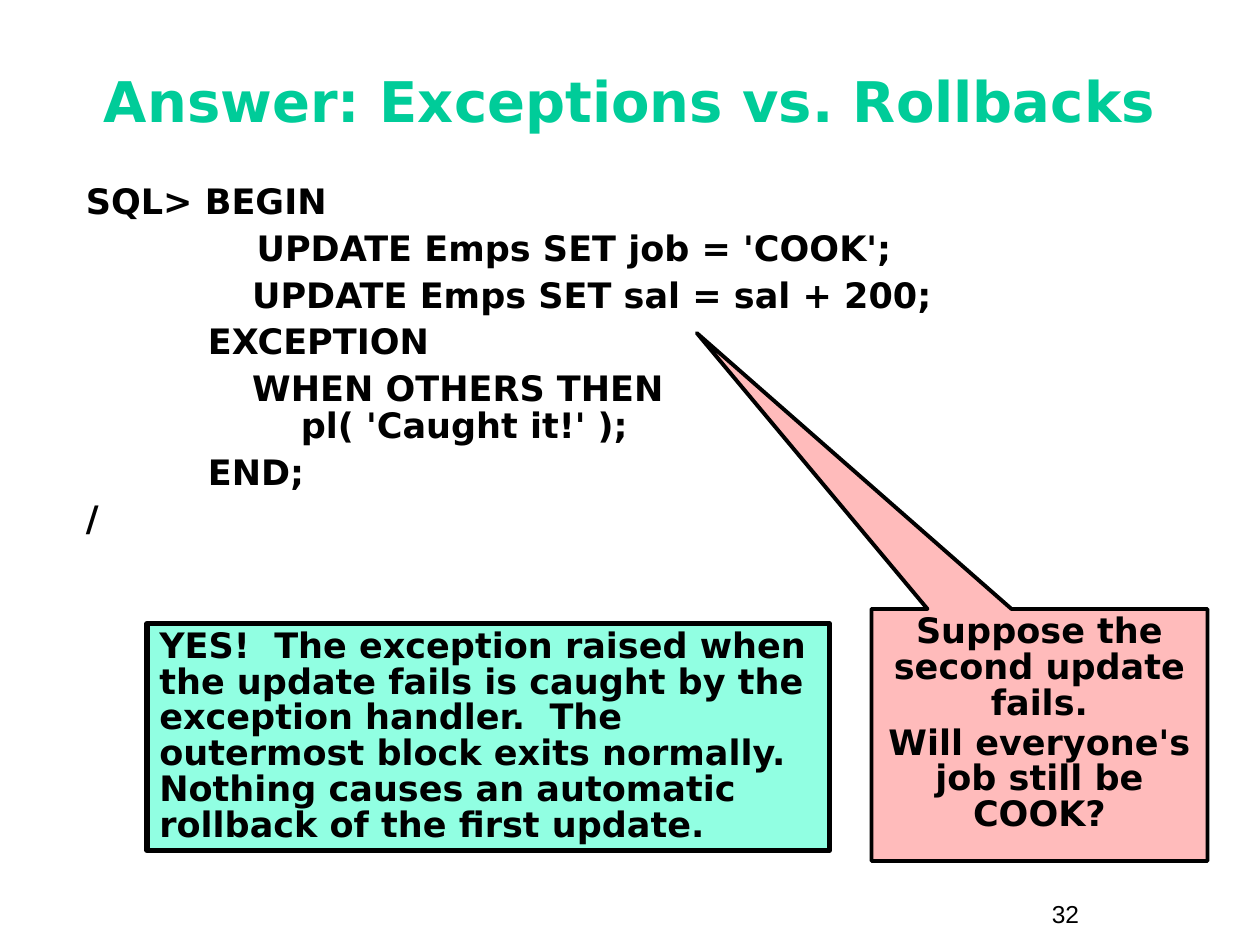
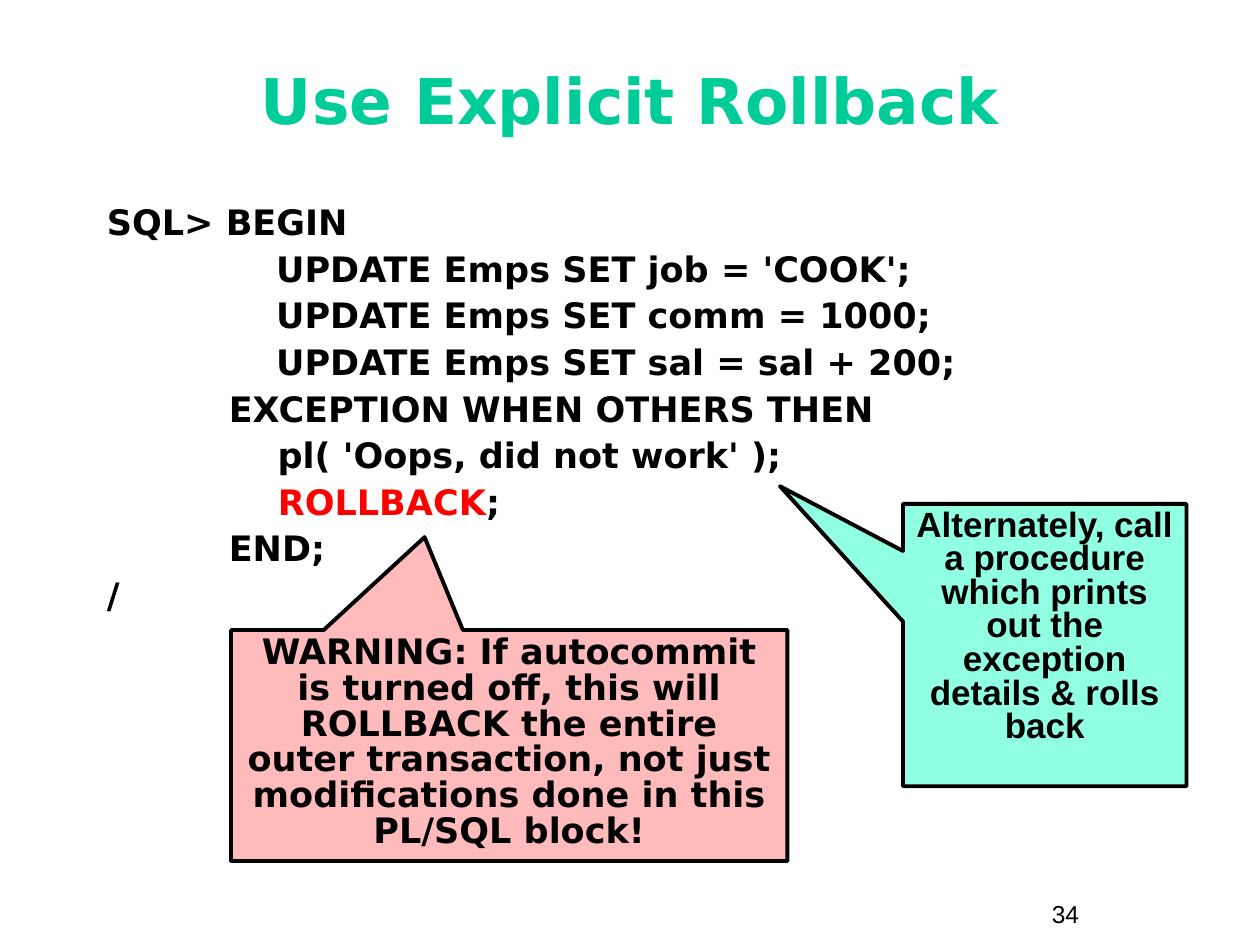
"""Builds two slides on PL/SQL exceptions and rollbacks."""
import pptx
import pptx.dml.color
import pptx.enum.shapes
import pptx.enum.text
import pptx.util

Pt = pptx.util.Pt
SHAPE = pptx.enum.shapes.MSO_SHAPE
ALIGN = pptx.enum.text.PP_ALIGN
ANCHOR = pptx.enum.text.MSO_ANCHOR

BLACK, GREEN, RED = "000000", "00CC99", "FF0000"
PINK, MINT = "FFBBBB", "91FFE2"
SANS, ARIAL = "DejaVu Sans", "Arial"
KEYWORD = "ROLLBACK"
TITLE_BOX = (24, 24, 672, 66)
NUMBER_BOX = (594, 510, 66, 24.5)

SLIDES = [
    {
        "title": "Answer: Exceptions vs. Rollbacks", "title_size": 32, "number": "32",
        "code_box": (42, 102, 636, 378), "indent": 81,
        "code": [
            ["SQL> BEGIN"],
            ["              UPDATE Emps SET job = 'COOK';"],
            ["\t  UPDATE Emps SET sal = sal + 200;"],
            ["          EXCEPTION"],
            ["\t  WHEN OTHERS THEN\v      pl( 'Caught it!' );"],
            ["          END;"],
            ["/"],
        ],
        "notes": [
            {"box": (498, 348, 192, 144), "fill": PINK, "tip": (-1.02, -1.595), "after": 2.5,
             "text": ["Suppose the second update fails.",
                      "Will everyone's job still be COOK?"]},
            {"box": (84, 356.4, 390, 129.6), "fill": MINT, "line": 3, "align": ALIGN.LEFT,
             "text": ["YES!  The exception raised when the update fails is caught by the "
                      "exception handler.  The outermost block exits normally.  Nothing "
                      "causes an automatic rollback of the first update."]},
        ],
    },
    {
        "title": "Use Explicit Rollback", "title_size": 36, "number": "34",
        "code_box": (54, 114, 612, 294), "indent": 27,
        "code": [
            ["SQL> BEGIN"],
            ["\t          UPDATE Emps SET job = 'COOK';"],
            ["\t          UPDATE Emps SET comm = 1000;"],
            ["\t          UPDATE Emps SET sal = sal + 200;"],
            ["          EXCEPTION WHEN OTHERS THEN"],
            ["              pl( 'Oops, did not work' );"],
            ["              ", KEYWORD, ";"],
            ["          END;"],
            ["/"],
        ],
        "notes": [
            {"box": (132, 360, 318, 132), "fill": PINK, "tip": (-0.152, -0.902),
             "text": ["WARNING: If autocommit is turned off, this will ROLLBACK the entire "
                      "outer transaction, not just modifications done in this PL/SQL block!"]},
            {"box": (516, 288, 162, 161.3), "fill": MINT, "tip": (-0.934, -0.563),
             "font": ARIAL, "spacing": 0.8,
             "text": ["Alternately, call a procedure which prints out the exception "
                      "details & rolls back"]},
        ],
    },
]


def rgb(color):
    return pptx.dml.color.RGBColor.from_string(color)


def write(sp, lines, size=20, font=SANS, color=BLACK, bold=True, align=ALIGN.LEFT,
          anchor=ANCHOR.TOP, spacing=1.0, before=0, indent=0):
    tf = sp.text_frame
    tf.word_wrap = True
    tf.vertical_anchor = anchor
    for i, pieces in enumerate(lines):
        p = tf.add_paragraph() if i else tf.paragraphs[0]
        p.text = pieces[0]
        for piece in pieces[1:]:
            p.add_run().text = piece
        p.alignment = align
        p.line_spacing = spacing
        p.space_before = Pt(before if i else 0)
        if indent:
            pPr = p._p.get_or_add_pPr()
            pPr.set("marL", str(int(Pt(indent))))
            pPr.set("indent", str(int(Pt(-indent))))
        for r in p.runs:
            r.font.name = font
            r.font.size = Pt(size)
            r.font.bold = bold
            r.font.color.rgb = rgb(RED if r.text == KEYWORD else color)


def add_text(s, box, lines, **style):
    write(s.shapes.add_textbox(*map(Pt, box)), lines, **style)


def add_note(s, note):
    tip = note.get("tip")
    kind = SHAPE.RECTANGULAR_CALLOUT if tip else SHAPE.RECTANGLE
    sp = s.shapes.add_shape(kind, *map(Pt, note["box"]))
    for i, value in enumerate(tip or ()):
        sp.adjustments[i] = value
    sp.shadow.inherit = False
    sp.fill.solid()
    sp.fill.fore_color.rgb = rgb(note["fill"])
    sp.line.color.rgb = rgb(BLACK)
    sp.line.width = Pt(note.get("line", 2.25))
    write(sp, [[text] for text in note["text"]], font=note.get("font", SANS),
          align=note.get("align", ALIGN.CENTER), spacing=note.get("spacing", 0.85),
          before=note.get("after", 0))


def main():
    prs = pptx.Presentation()
    prs.slide_width, prs.slide_height = Pt(720), Pt(540)
    for data in SLIDES:
        s = prs.slides.add_slide(prs.slide_layouts[6])
        add_text(s, NUMBER_BOX, [[data["number"]]], size=14, font=ARIAL, bold=False)
        add_text(s, TITLE_BOX, [[data["title"]]], size=data["title_size"], color=GREEN,
                 align=ALIGN.CENTER, anchor=ANCHOR.MIDDLE)
        add_text(s, data["code_box"], data["code"], spacing=0.9, before=5,
                 indent=data["indent"])
        for note in data["notes"]:
            add_note(s, note)
    prs.save("out.pptx")


if __name__ == "__main__":
    main()
